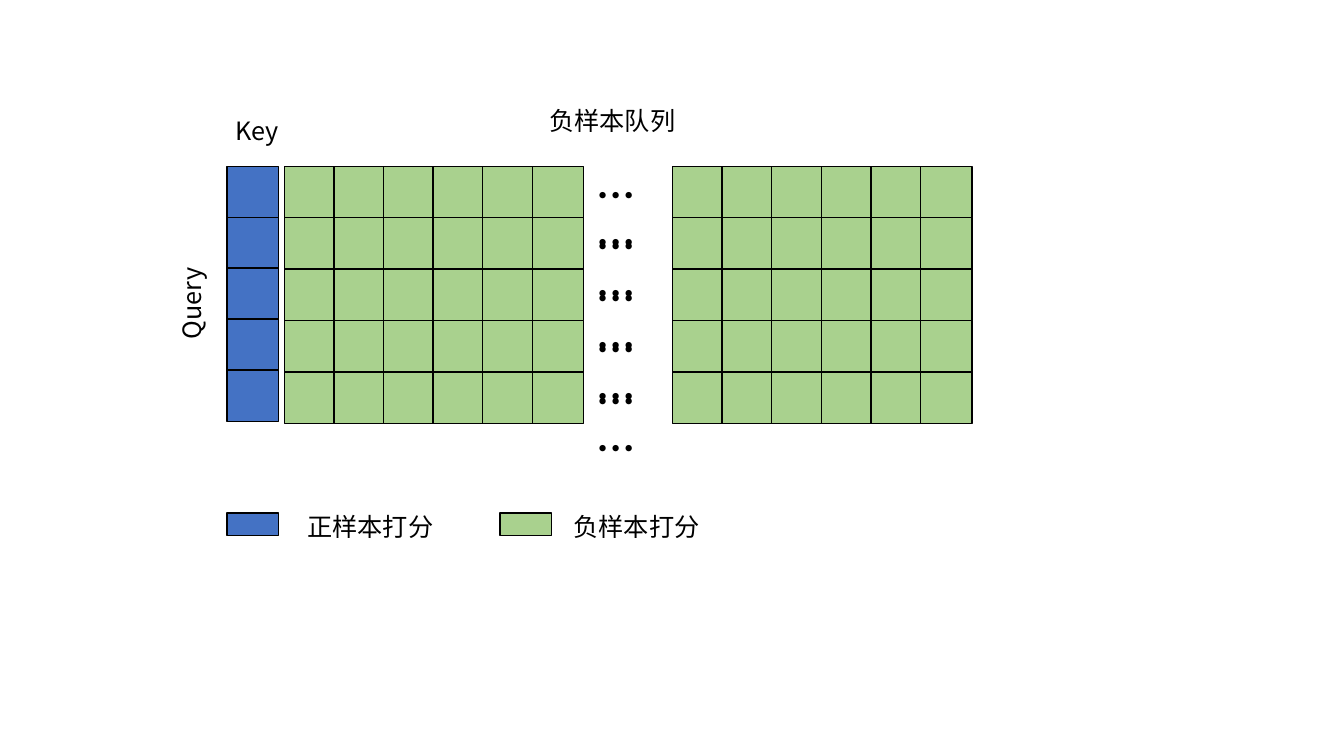
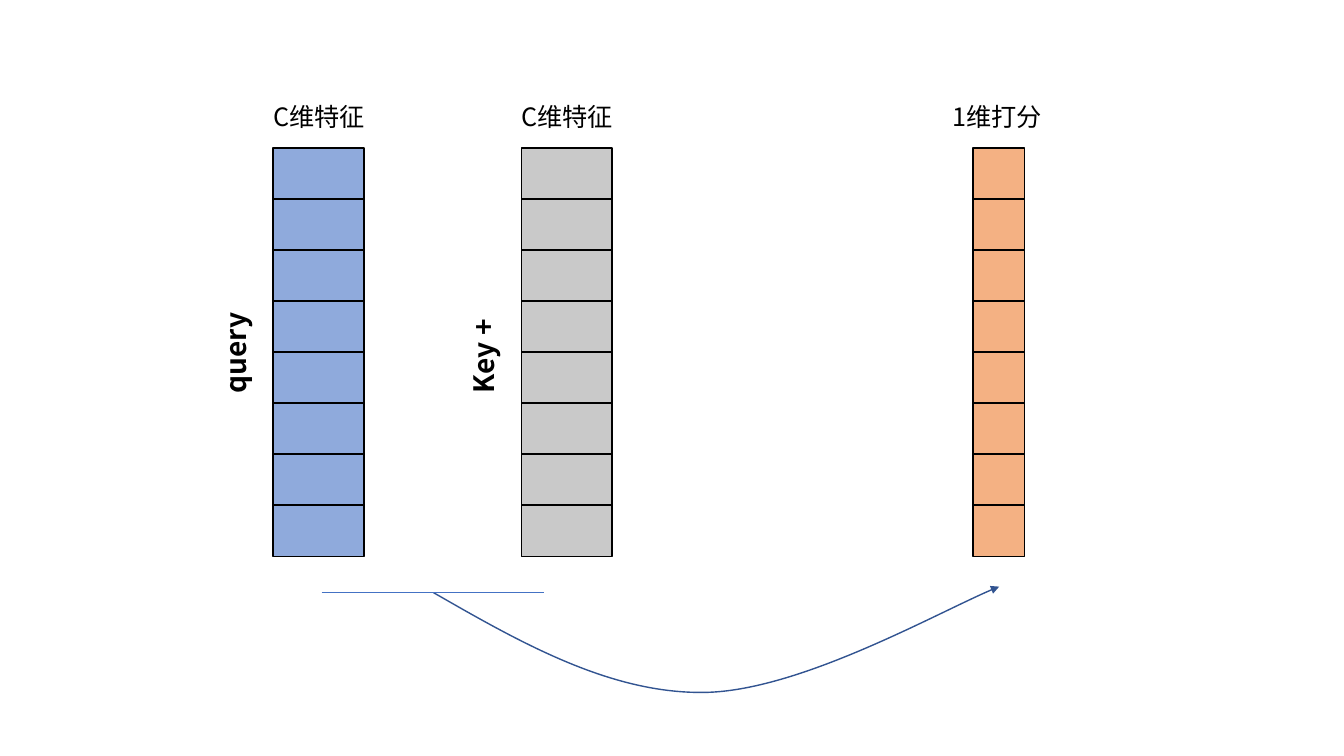
from itertools import product

from lxml import etree
from pptx import Presentation
from pptx.dml.color import RGBColor
from pptx.enum.shapes import MSO_CONNECTOR, MSO_SHAPE
from pptx.enum.text import MSO_AUTO_SIZE
from pptx.oxml.ns import qn
from pptx.util import Inches, Pt

RECTANGLE = MSO_SHAPE.RECTANGLE
STRAIGHT = MSO_CONNECTOR.STRAIGHT
GROW = MSO_AUTO_SIZE.SHAPE_TO_FIT_TEXT

FONT = "Noto Sans CJK SC"
BLACK = "000000"
POSITIVE = "4472C4"
NEGATIVE = "A9D18E"
QUERY = "8FAADC"
KEY = "C9C9C9"
SCORE = "F4B183"
ARROW = "325491"
CELL = 0.51
BLANK_LAYOUT = 6


def rgb(value):
    return RGBColor.from_string(value)


def set_line(shape, color):
    shape.line.color.rgb = rgb(color)
    shape.line.width = Pt(1)


def add_cell(slide, left, top, width, height, fill):
    cell = slide.shapes.add_shape(
        RECTANGLE, Inches(left), Inches(top), Inches(width), Inches(height))
    cell.shadow.inherit = False
    cell.fill.solid()
    cell.fill.fore_color.rgb = rgb(fill)
    set_line(cell, BLACK)


def add_label(slide, box, text, size=18, bold=False, rotation=0):
    label = slide.shapes.add_textbox(*map(Inches, box))
    label.rotation = rotation
    frame = label.text_frame
    frame.word_wrap = True
    frame.auto_size = GROW
    frame.text = text
    font = frame.paragraphs[0].runs[0].font
    font.name, font.size, font.bold = FONT, Pt(size), bold
    font.color.rgb = rgb(BLACK)
    # East Asian characters take the same font
    east_asian = etree.Element(qn("a:ea"), typeface=FONT)
    font._element.find(qn("a:latin")).addnext(east_asian)


def pitch(length, cell, count):
    """Step between cells that fill the length from edge to edge."""
    return (length - cell) / (count - 1) if count > 1 else 0


def add_grid(slide, box, rows, columns, fill, cell_width=CELL):
    left, top, width, height = box
    step_x = pitch(width, cell_width, columns)
    step_y = pitch(height, CELL, rows)
    for row, column in product(range(rows), range(columns)):
        add_cell(slide, left + column * step_x, top + row * step_y,
                 cell_width, CELL, fill)


def add_score_matrix(slide, left, top):
    rows, block_width, block_height = 5, 2.97, 2.55
    # Key column, then two blocks of the negative queue
    add_grid(slide, (left, top, CELL, 2.53), rows, 1, POSITIVE)
    for offset in (0.57, 4.42):
        add_grid(slide, (left + offset, top, block_width, block_height),
                 rows, 6, NEGATIVE)
    # Omitted part of the queue
    step = pitch(block_height, CELL, rows)
    for row in range(rows):
        add_label(slide, (left + 3.57, top + row * step, 0.9, 0.57),
                  "……", 28, True)
    # Axis names
    add_label(slide, (left - 1.14, top + 0.83, 1.57, 0.4), "Query", rotation=270)
    add_label(slide, (left - 0.01, top - 0.56, 1.57, 0.4), "Key")
    add_label(slide, (left + 3.1, top - 0.65, 1.57, 0.4), "负样本队列")


def add_legend_entry(slide, left, top, text_offset, text, fill):
    add_cell(slide, left, top, CELL, 0.22, fill)
    add_label(slide, (left + text_offset, top - 0.07, 1.57, 0.4), text)


def add_vector(slide, box, heading, heading_offset, fill, side_name=None):
    left, top, width, _ = box
    add_grid(slide, box, 8, 1, fill, width)
    add_label(slide, (left + heading_offset, top - 0.51, 1.7, 0.4), heading)
    if side_name:
        add_label(slide, (left - 0.95, top + 1.73, 1.16, 0.44),
                  side_name, 20, True, 270)


def add_curved_arrow(slide, start, curves):
    """Each curve holds two control points and an end point."""
    points = [tuple(map(Inches, point)) for curve in curves for point in curve]
    builder = slide.shapes.build_freeform(*map(Inches, start))
    builder.add_line_segments(points, close=False)
    arrow = builder.convert_to_shape()
    arrow.shadow.inherit = False
    arrow.fill.background()
    set_line(arrow, ARROW)
    # Join every three straight segments into one Bézier curve
    outline = arrow._element.find(".//" + qn("a:path"))
    segments = outline.findall(qn("a:lnTo"))
    for first in range(0, len(segments), 3):
        bezier = etree.SubElement(outline, qn("a:cubicBezTo"))
        for segment in segments[first:first + 3]:
            bezier.append(segment[0])
            outline.remove(segment)
    etree.SubElement(arrow.line._get_or_add_ln(), qn("a:tailEnd"), type="triangle")


def add_base_line(slide, left, right, y):
    base = slide.shapes.add_connector(
        STRAIGHT, Inches(left), Inches(y), Inches(right), Inches(y))
    set_line(base, POSITIVE)
    etree.SubElement(base._element.spPr, qn("a:effectLst"))


def build_queue_slide(slide):
    add_score_matrix(slide, 2.25, 1.65)
    add_legend_entry(slide, 2.25, 5.09, 0.7, "正样本打分", POSITIVE)
    add_legend_entry(slide, 4.96, 5.09, 0.63, "负样本打分", NEGATIVE)


def build_score_slide(slide):
    top, height = 1.47, 4.05
    add_vector(slide, (2.71, top, 0.9, height), "C维特征", -0.1, QUERY, "query")
    add_vector(slide, (5.17, top, 0.9, height), "C维特征", -0.1, KEY, "Key +")
    add_vector(slide, (9.65, top, CELL, height), "1维打分", -0.3, SCORE)
    # Both features lead to the score
    add_curved_arrow(slide, (4.3, 5.88), [
        [(5.17, 6.38), (6.05, 6.88), (6.98, 6.87)],
        [(7.92, 6.86), (9.38, 6.03), (9.91, 5.82)],
    ])
    add_base_line(slide, 3.19, 5.4, 5.88)


def main():
    deck = Presentation()
    deck.slide_width, deck.slide_height = Inches(13.33), Inches(7.5)
    for build in (build_queue_slide, build_score_slide):
        build(deck.slides.add_slide(deck.slide_layouts[BLANK_LAYOUT]))
    deck.save("out.pptx")


if __name__ == "__main__":
    main()
